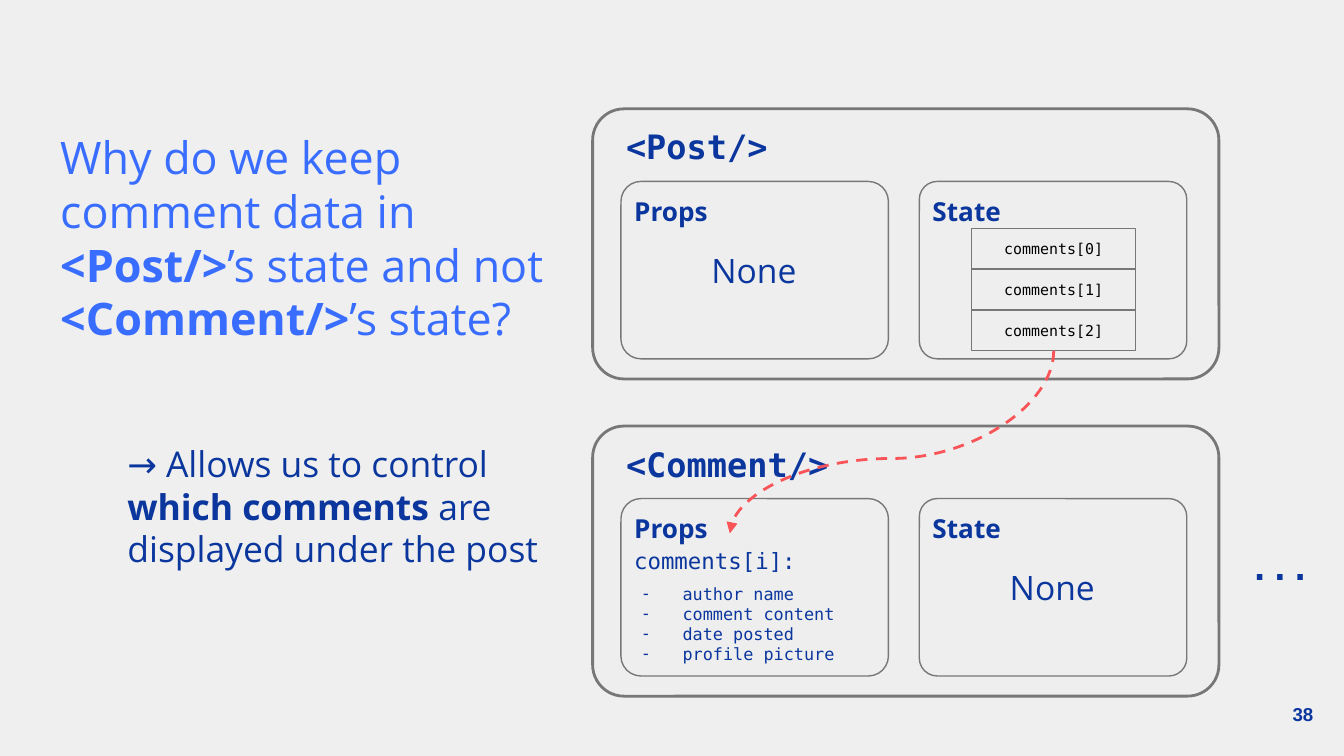
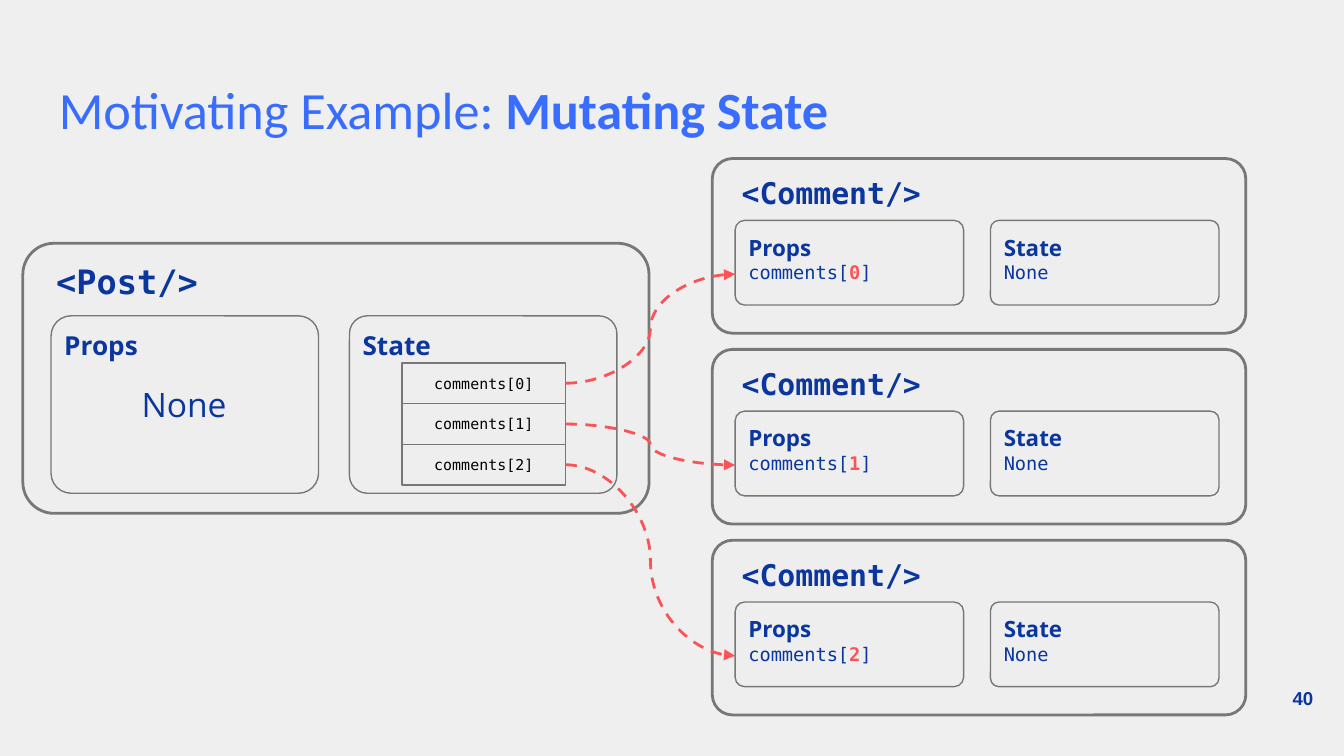
"""Build two slides that show how post state flows into comment props."""
from dataclasses import dataclass

from lxml import etree
from pptx import Presentation
from pptx.dml.color import RGBColor
from pptx.enum.dml import MSO_LINE
from pptx.enum.shapes import MSO_CONNECTOR, MSO_SHAPE
from pptx.enum.text import MSO_ANCHOR, PP_ALIGN
from pptx.oxml.ns import qn
from pptx.util import Inches, Pt

CURVE = MSO_CONNECTOR.CURVE
DASH = MSO_LINE.DASH
ROUND, RECT = MSO_SHAPE.ROUNDED_RECTANGLE, MSO_SHAPE.RECTANGLE
TOP, MIDDLE = MSO_ANCHOR.TOP, MSO_ANCHOR.MIDDLE
LEFT, CENTER, RIGHT = PP_ALIGN.LEFT, PP_ALIGN.CENTER, PP_ALIGN.RIGHT
SANS, MONO, HEAD, FOOT = "Open Sans", "DejaVu Sans Mono", "Calibri", "Arial"
COLORS = {
    "back": "EFEFEF", "box": "EEEEEE", "edge": "777777", "navy": "0A369D",
    "blue": "396DFF", "red": "F95458", "black": "000000",
}


@dataclass(frozen=True)
class Style:
    """Type of a run of text."""
    size: float
    font: str = SANS
    color: str = "navy"
    bold: bool = False


@dataclass(frozen=True)
class Part:
    """One run that departs from the style of its box."""
    text: str
    bold: bool = False
    color: str = ""


@dataclass(frozen=True)
class Kind:
    """Measures of a component card, relative to its corner."""
    width: float
    height: float
    name: tuple[float, float, float, float]
    name_size: float
    cols: tuple[float, float]
    row: float
    pane: tuple[float, float]
    label: tuple[float, float]
    label_size: float


@dataclass(frozen=True)
class Card:
    """A component with its place and kind."""
    name: str
    left: float
    top: float
    kind: Kind

    def pane(self, col: int) -> tuple[float, float]:
        """Return the corner of the props (0) or state (1) pane."""
        return self.left + self.kind.cols[col], self.top + self.kind.row


BIG = Kind(4.66, 2.01, (0.15, 0.03, 1.8, 0.51), 18,
           (0.21, 2.43), 0.54, (1.99, 1.32), (0.96, 0.51), 14)
SMALL = Kind(3.97, 1.3, (0.12, 0.02, 1.54, 0.43), 16,
             (0.17, 2.07), 0.46, (1.7, 0.63), (0.81, 0.43), 12)
CELL_W, CELL_H = 1.22, 0.91 / 3
BODY, CODE = Style(18), Style(10, MONO)
CELL = Style(8, MONO, "black")


def rgb(key: str) -> RGBColor:
    """Look up a colour."""
    return RGBColor.from_string(COLORS[key])


def paint(run, style: Style, part: Part | None = None) -> None:
    """Format a run."""
    font = run.font
    font.size, font.name = Pt(style.size), style.font
    font.bold = style.bold or bool(part and part.bold)
    font.color.rgb = rgb(part.color if part and part.color else style.color)


def frame(shape, anchor=TOP):
    """Set wrap, anchor and insets of a shape's text."""
    text = shape.text_frame
    text.word_wrap, text.vertical_anchor = True, anchor
    text.margin_left = text.margin_right = Inches(0.1)
    text.margin_top = text.margin_bottom = Inches(0.1)
    return text


def write(slide, left: float, top: float, width: float, height: float,
          words: str | list[Part], style: Style, align=LEFT, anchor=TOP):
    """Add a text box and return its text frame."""
    shape = slide.shapes.add_textbox(
        Inches(left), Inches(top), Inches(width), Inches(height))
    text = frame(shape, anchor)
    if isinstance(words, str):
        text.text = words
        for para in text.paragraphs:
            para.alignment = align
            for run in para.runs:
                paint(run, style)
    else:
        para = text.paragraphs[0]
        para.alignment = align
        for part in words:
            run = para.add_run()
            run.text = part.text
            paint(run, style, part)
    return text


def box(slide, form, left: float, top: float, width: float, height: float,
        weight: float = 0.75, bend: float = 0):
    """Add a grey outlined shape."""
    shape = slide.shapes.add_shape(
        form, Inches(left), Inches(top), Inches(width), Inches(height))
    shape.shadow.inherit = False
    shape.fill.solid()
    shape.fill.fore_color.rgb = rgb("box")
    shape.line.color.rgb = rgb("edge")
    shape.line.width = Pt(weight)
    if bend:
        shape.adjustments[0] = bend
    return shape


def draw(slide, card: Card) -> None:
    """Draw a component card with its two panes."""
    kind = card.kind
    box(slide, ROUND, card.left, card.top, kind.width, kind.height, 1.5, 0.116)
    dx, dy, width, height = kind.name
    write(slide, card.left + dx, card.top + dy, width, height, card.name,
          Style(kind.name_size, MONO, bold=True))
    for col, (label, bend) in enumerate((("Props", 0.113), ("State", 0.101))):
        left, top = card.pane(col)
        box(slide, ROUND, left, top, *kind.pane, bend=bend)
        write(slide, left, top, *kind.label, label,
              Style(kind.label_size, bold=True))


def none(slide, card: Card, col: int) -> None:
    """Mark a big pane as empty."""
    left, top = card.pane(col)
    write(slide, left + 0.49, top + 0.41, 1, 0.5, "None", BODY, CENTER)


def post(slide, left: float, top: float) -> list[tuple[float, float]]:
    """Draw the post card and return the corners of its state cells."""
    card = Card("<Post/>", left, top, BIG)
    draw(slide, card)
    none(slide, card, 0)
    x, y = card.pane(1)
    spots = [(x + 0.39, y + 0.35 + i * CELL_H) for i in range(3)]
    for i, spot in enumerate(spots):
        text = frame(box(slide, RECT, *spot, CELL_W, CELL_H), MIDDLE)
        text.text = f"comments[{i}]"
        para = text.paragraphs[0]
        para.alignment = CENTER
        paint(para.runs[0], CELL)
    return spots


def arrow(slide, start: tuple[float, float], end: tuple[float, float],
          bend: int = 50000, down: bool = False) -> None:
    """Add a dashed curve; down makes it leave and arrive vertically."""
    (x1, y1), (x2, y2) = start, end
    if down:
        mid_x, mid_y = (x1 + x2) / 2, (y1 + y2) / 2
        half_w, half_h = (y2 - y1) / 2, (x1 - x2) / 2
        x1, x2 = mid_x - half_w, mid_x + half_w
        y1, y2 = mid_y - half_h, mid_y + half_h
    line = slide.shapes.add_connector(
        CURVE, Inches(x1), Inches(y1), Inches(x2), Inches(y2))
    line.line.color.rgb = rgb("red")
    line.line.width = Pt(1.5)
    line.line.dash_style = DASH
    props = line._element.spPr
    if down:
        props.find(qn("a:xfrm")).set("rot", "5400000")
    guides = props.find(qn("a:prstGeom")).find(qn("a:avLst"))
    etree.SubElement(guides, qn("a:gd"), name="adj1", fmla=f"val {bend}")
    etree.SubElement(props.find(qn("a:ln")), qn("a:tailEnd"), type="triangle")
    etree.SubElement(props, qn("a:effectLst"))


def bullet(para) -> None:
    """Give a paragraph a hanging dash."""
    props = para._p.get_or_add_pPr()
    props.set("marL", str(Inches(0.31)))
    props.set("indent", str(-Inches(0.31)))
    tint = etree.SubElement(props, qn("a:buClr"))
    etree.SubElement(tint, qn("a:srgbClr"), val=COLORS["navy"])
    etree.SubElement(props, qn("a:buFont"), typeface=MONO)
    etree.SubElement(props, qn("a:buChar"), char="-")


def start(deck, number: str, top: float):
    """Add a blank slide with background and number."""
    slide = deck.slides.add_slide(deck.slide_layouts[6])
    slide.background.fill.solid()
    slide.background.fill.fore_color.rgb = rgb("back")
    write(slide, 9.27, top, 0.6, 0.43, number,
          Style(10, FOOT, bold=True), RIGHT, MIDDLE)
    return slide


def why(deck) -> None:
    """Build the slide on why the post holds the data."""
    slide = start(deck, "38", 5.1)
    spots = post(slide, 4.41, 0.81)
    card = Card("<Comment/>", 4.41, 3.17, BIG)
    draw(slide, card)
    none(slide, card, 1)
    left, top = card.pane(0)
    write(slide, left, top + 0.26, 1.63, 0.4, "comments[i]:", Style(12, MONO))
    items = "author name\ncomment content\ndate posted\nprofile picture"
    text = write(slide, left + 0.05, top + 0.53, 1.81, 0.81, items,
                 Style(9, MONO))
    for para in text.paragraphs:
        bullet(para)
    x, y = spots[-1]
    arrow(slide, (x + CELL_W / 2, y + CELL_H), (left + 0.81, top + 0.26),
          59000, True)
    write(slide, 9.2, 3.97, 0.87, 0.51, "...", Style(18, MONO, bold=True))
    ask = [Part("Why do we keep comment data in "), Part("<Post/>", True),
           Part("’s state and not "), Part("<Comment/>", True),
           Part("’s state?")]
    write(slide, 0.35, 0.71, 3.93, 2.11, ask, Style(24, color="blue"),
          anchor=MIDDLE)
    reply = [Part("→ Allows us to control "), Part("which comments", True),
             Part(" are displayed under the post")]
    text = write(slide, 0.35, 2.82, 3.87, 1.89, reply, Style(19),
                 anchor=MIDDLE)
    para = text.paragraphs[0]
    para.space_after = Pt(10)
    para._p.get_or_add_pPr().set("marL", str(Inches(0.5)))


def mutate(deck) -> None:
    """Build the slide that links state cells to comment props."""
    slide = start(deck, "40", 4.98)
    title = [Part("Motivating Example: "), Part("Mutating State", True)]
    write(slide, 0.34, 0.49, 7, 0.63, title, Style(28, HEAD, "blue"),
          anchor=MIDDLE)
    spots = post(slide, 0.17, 1.81)
    for i, (x, y) in enumerate(spots):
        card = Card("<Comment/>", 5.3, 1.18 + i * 1.42, SMALL)
        draw(slide, card)
        value = [Part("comments["), Part(str(i), True, "red"), Part("]")]
        for col, words in enumerate((value, "None")):
            left, top = card.pane(col)
            write(slide, left, top + 0.22, 1.39, 0.37, words, CODE)
        left, top = card.pane(0)
        arrow(slide, (x + CELL_W, y + CELL_H / 2), (left, top + 0.4))


def main() -> None:
    """Build and save the deck."""
    deck = Presentation()
    deck.slide_width, deck.slide_height = Inches(10), Inches(10 * 9 / 16)
    why(deck)
    mutate(deck)
    deck.save("out.pptx")


if __name__ == "__main__":
    main()
